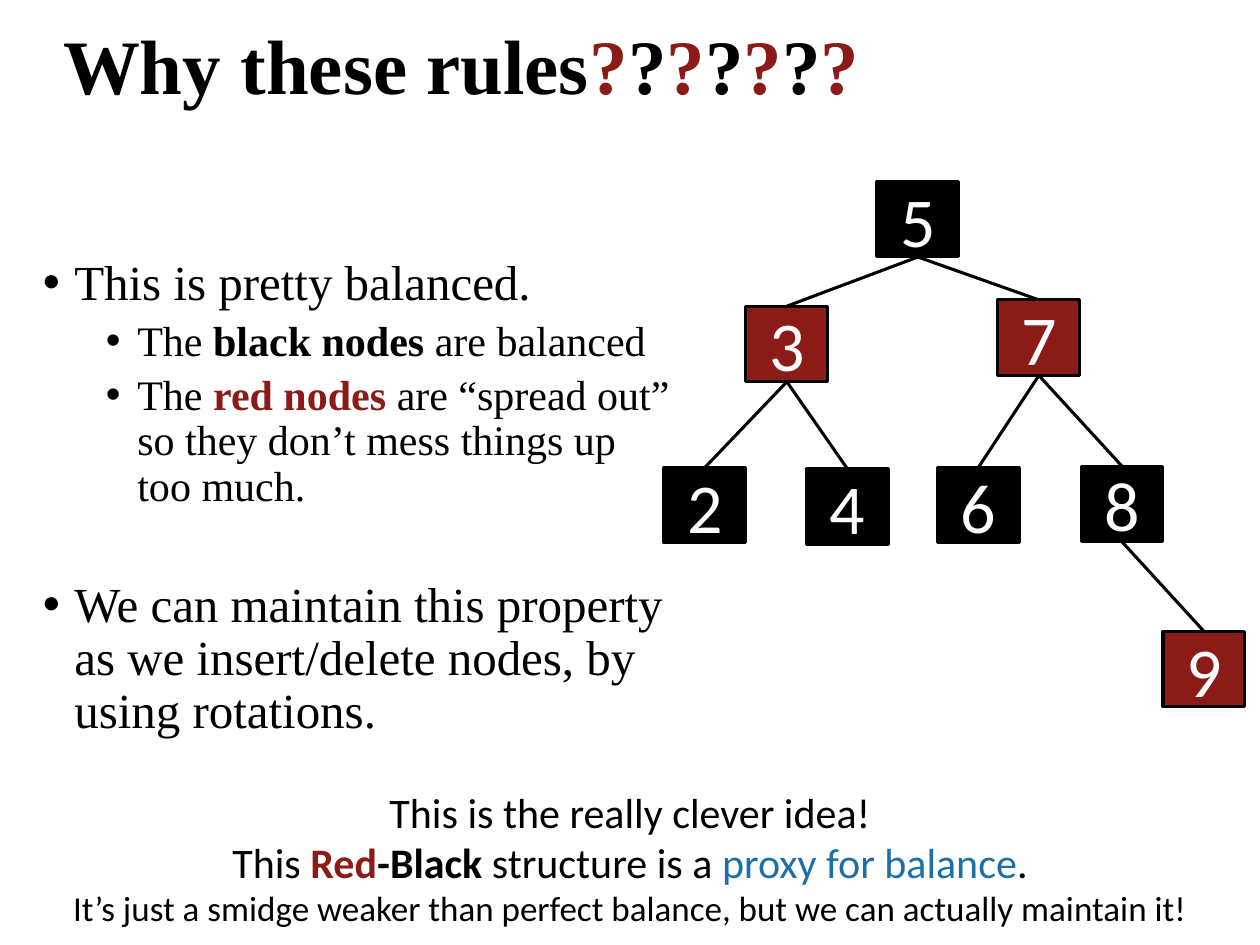
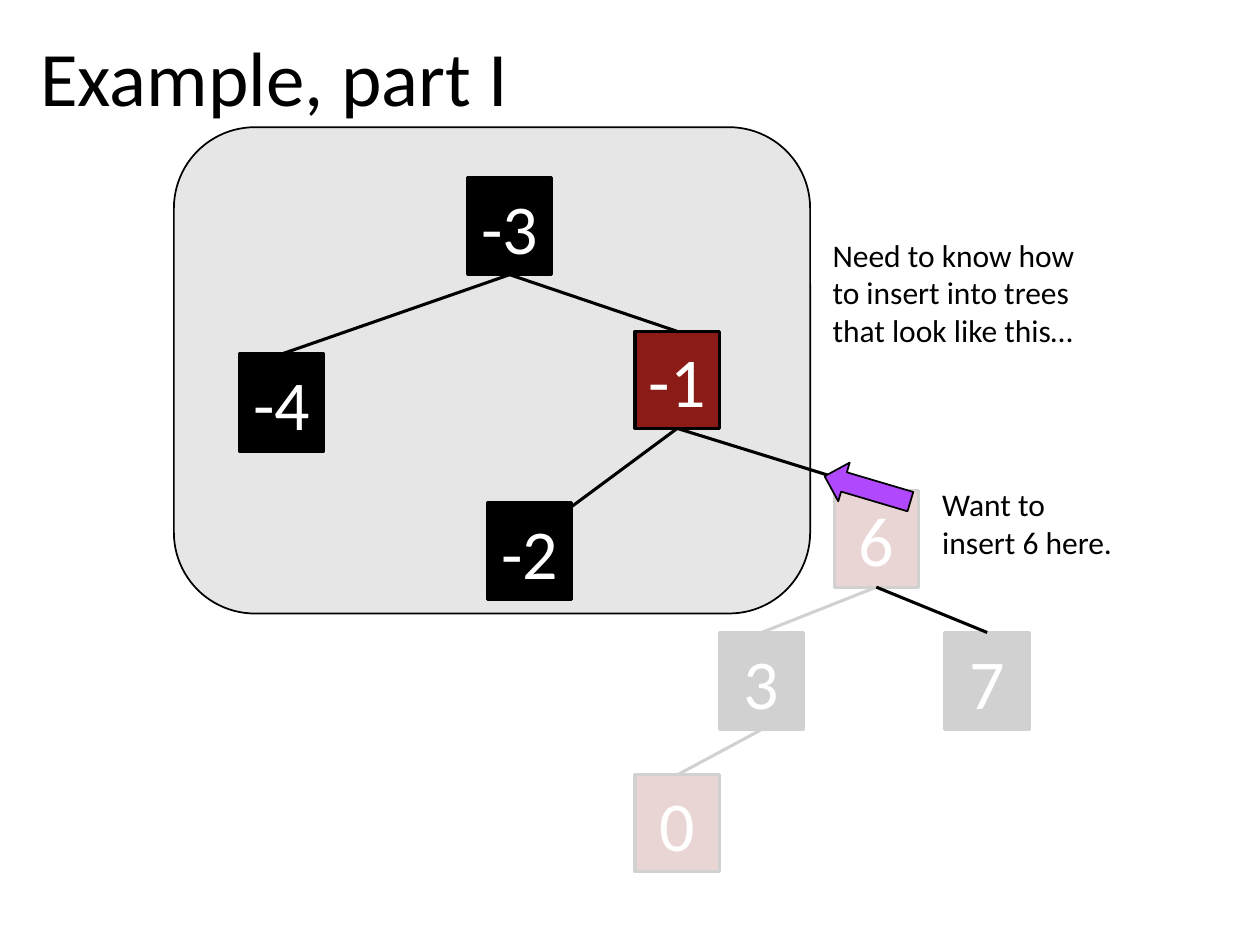
from lxml import etree
from pptx import Presentation
from pptx.dml.color import RGBColor
from pptx.enum.shapes import MSO_CONNECTOR, MSO_SHAPE
from pptx.enum.text import MSO_ANCHOR, MSO_AUTO_SIZE, PP_ALIGN
from pptx.oxml.ns import qn
from pptx.util import Inches, Pt

STRAIGHT = MSO_CONNECTOR.STRAIGHT
RECTANGLE = MSO_SHAPE.RECTANGLE
ROUNDED_RECTANGLE = MSO_SHAPE.ROUNDED_RECTANGLE
RIGHT_ARROW = MSO_SHAPE.RIGHT_ARROW
MIDDLE, TOP = MSO_ANCHOR.MIDDLE, MSO_ANCHOR.TOP
NO_FIT = MSO_AUTO_SIZE.NONE
LEFT, CENTER = PP_ALIGN.LEFT, PP_ALIGN.CENTER

COLORS = {
    name: RGBColor.from_string(value)
    for name, value in {
        "black": "000000",
        "white": "FFFFFF",
        "red": "8B1B17",
        "blue": "1D6FA9",
        "panel": "E7E6E6",
        "purple": "B049FD",
    }.items()
}
SERIF = "Times New Roman"
SANS = "Calibri"


def write_text(paragraph, text, size=18, font=SANS, color="black", bold=False):
    run = paragraph.add_run()
    run.text = text
    run.font.size = Pt(size)
    run.font.name = font
    run.font.color.rgb = COLORS[color]
    run.font.bold = bold


def draw_tree(slide, nodes, labels, edges, size, ends):
    width, height = size
    for parent, child in edges:
        left, top, color = nodes[parent]
        child_left, child_top, child_color = nodes[child]
        end = ends.get(child, (child_left + width / 2, child_top))
        points = (left + width / 2, top + height, *end)
        edge = slide.shapes.add_connector(STRAIGHT, *map(Inches, points))
        edge.line.color.rgb = COLORS["black"]
        edge.line.width = Pt(1.75)
        etree.SubElement(edge._element.spPr, qn("a:effectLst"))
    for label in labels:
        left, top, color = nodes[label]
        node = slide.shapes.add_shape(RECTANGLE, *map(Inches, (left, top, width, height)))
        node.shadow.inherit = False
        node.fill.solid()
        node.fill.fore_color.rgb = COLORS[color]
        node.line.color.rgb = COLORS["black"]
        node.line.width = Pt(1.75)
        node.text_frame.vertical_anchor = MIDDLE
        paragraph = node.text_frame.paragraphs[0]
        paragraph.alignment = CENTER
        write_text(paragraph, label, size=40, color="white")


presentation = Presentation()
presentation.slide_width = Inches(10)
presentation.slide_height = Inches(7.5)

rules_slide = presentation.slides.add_slide(presentation.slide_layouts[1])
example_slide = presentation.slides.add_slide(presentation.slide_layouts[5])

rules_title = [("Why these rules", "black")]
rules_title += [("?", "black" if index % 2 else "red") for index in range(7)]
titles = [
    (rules_slide, (0.4, 0.06, 8.62, 0.99), SERIF, True, rules_title),
    (example_slide, (0.22, -0.08, 8.62, 1.45), SANS, False, [("Example, part I", "black")]),
]
for slide, box, font, bold, runs in titles:
    title = slide.shapes.title
    title.left, title.top, title.width, title.height = map(Inches, box)
    title.text_frame.auto_size = NO_FIT
    title.text_frame.vertical_anchor = MIDDLE
    paragraph = title.text_frame.paragraphs[0]
    paragraph.alignment = LEFT
    paragraph.line_spacing = 0.9
    for text, color in runs:
        write_text(paragraph, text, size=44, font=font, color=color, bold=bold)

body = rules_slide.placeholders[1]
body.left, body.top, body.width, body.height = map(Inches, (0.24, 2, 5.24, 4.76))
body.text_frame.auto_size = NO_FIT
body.text_frame.vertical_anchor = TOP
bullets = [
    (0, 0, [("This is pretty balanced.", "black", False)]),
    (1, 5, [("The ", "black", False), ("black nodes", "black", True),
            (" are balanced", "black", False)]),
    (1, 5, [("The ", "black", False), ("red nodes ", "red", True),
            ("are “spread out” so they don’t mess things up too much.", "black", False)]),
    (0, 40, [("We can maintain this property as we insert/delete nodes, by using rotations.",
              "black", False)]),
]
for index, (level, space_before, runs) in enumerate(bullets):
    paragraph = body.text_frame.add_paragraph() if index else body.text_frame.paragraphs[0]
    paragraph.level = level
    paragraph.line_spacing = 0.9
    paragraph.space_before = Pt(space_before)
    properties = paragraph._p.get_or_add_pPr()
    properties.set("marL", str(Inches(0.25 + 0.5 * level)))
    properties.set("indent", str(Inches(-0.25)))
    etree.SubElement(properties, qn("a:buFont"), typeface="Arial")
    etree.SubElement(properties, qn("a:buChar"), char="•")
    for text, color, bold in runs:
        write_text(paragraph, text, size=24 if level else 28, font=SERIF, color=color, bold=bold)

balanced_nodes = {
    "5": (6.96, 1.44, "black"),
    "3": (5.92, 2.43, "red"),
    "7": (7.92, 2.38, "red"),
    "2": (5.27, 3.71, "black"),
    "4": (6.4, 3.72, "black"),
    "6": (7.44, 3.71, "black"),
    "8": (8.58, 3.7, "black"),
    "9": (9.23, 5.01, "red"),
}
balanced_edges = ["53", "57", "32", "34", "76", "78", "89"]
draw_tree(rules_slide, balanced_nodes, balanced_nodes, balanced_edges, (0.65, 0.6), {})

example_nodes = {
    "-3": (3.71, 1.41, "black"),
    "-4": (1.9, 2.81, "black"),
    "-1": (5.04, 2.63, "red"),
    "-2": (3.87, 3.99, "black"),
    "6": (6.62, 3.89, "red"),
    "3": (5.71, 5.02, "black"),
    "7": (7.5, 5.02, "black"),
    "0": (5.04, 6.15, "red"),
}
node_size = (0.67, 0.77)
draw_tree(example_slide, example_nodes, "7360", ["63", "30"], node_size, {})

veil_start = (3.99, 7.34)
veil_curves = [
    ((4.08, 7.03), (4.22, 6.3), (4.54, 5.75)),
    ((4.86, 5.2), (5.56, 4.43), (5.91, 4.05)),
    ((6.26, 3.67), (6.34, 3.55), (6.64, 3.48)),
    ((6.94, 3.41), (7.28, 3.29), (7.73, 3.63)),
    ((8.19, 3.96), (9.1, 5.01), (9.36, 5.49)),
    ((9.63, 5.97), (9.36, 6.13), (9.34, 6.5)),
    ((9.31, 6.88), (10.09, 7.55), (9.2, 7.74)),
    ((8.31, 7.92), (4.89, 7.67), (4.02, 7.61)),
    ((3.15, 7.56), (3.91, 7.65), veil_start),
]
veil_points = []
curve_start = veil_start
for curve in veil_curves:
    for step in range(1, 9):
        t = step / 8
        weights = ((1 - t) ** 3, 3 * t * (1 - t) ** 2, 3 * t ** 2 * (1 - t), t ** 3)
        x, y = (
            sum(weight * value for weight, value in zip(weights, values))
            for values in zip(curve_start, *curve)
        )
        veil_points.append((Inches(x), Inches(min(y, 7.5))))
    curve_start = curve[-1]
builder = example_slide.shapes.build_freeform(*map(Inches, veil_start))
builder.add_line_segments(veil_points, close=True)
veil = builder.convert_to_shape()
veil.shadow.inherit = False
veil.fill.solid()
veil.fill.fore_color.rgb = COLORS["white"]
veil.line.fill.background()
veil_color = veil._element.spPr.find(qn("a:solidFill")).find(qn("a:srgbClr"))
etree.SubElement(veil_color, qn("a:alpha"), val="82000")

decorations = [
    (ROUNDED_RECTANGLE, (1.38, 1.01, 5.05, 3.86), "panel", 0),
    (RIGHT_ARROW, (6.53, 3.72, 0.71, 0.32), "purple", 196.5),
]
for kind, box, color, rotation in decorations:
    shape = example_slide.shapes.add_shape(kind, *map(Inches, box))
    shape.shadow.inherit = False
    shape.rotation = rotation
    shape.fill.solid()
    shape.fill.fore_color.rgb = COLORS[color]
    shape.line.color.rgb = COLORS["black"]
    shape.line.width = Pt(1)
    if kind == ROUNDED_RECTANGLE:
        draw_tree(
            example_slide,
            example_nodes,
            ["-3", "-4", "-1", "-2"],
            [("6", "7"), ("-1", "6"), ("-1", "-2"), ("-3", "-1"), ("-3", "-4")],
            node_size,
            {"-2": (3.89, 4.5)},
        )

clever_idea = [
    (24, [("This is the really clever idea!", "black", False)]),
    (24, [("This ", "black", False), ("Red", "red", True), ("-Black ", "black", True),
          ("structure is a ", "black", False), ("proxy for balance", "blue", False),
          (".", "black", False)]),
    (20, [("It’s just a smidge weaker than perfect balance, but we can actually maintain it!",
           "black", False)]),
]
insert_here = [(18, [("Want to insert 6 here.", "black", False)])]
need_to_know = [
    (18, [("Need to know how to insert into trees that look like this…", "black", False)])
]
captions = [
    (rules_slide, (0.24, 6.19, 9.52, 1.25), CENTER, clever_idea),
    (example_slide, (7.38, 3.8, 1.6, 0.71), LEFT, insert_here),
    (example_slide, (6.51, 1.82, 2.36, 1.01), LEFT, need_to_know),
]
for slide, box, alignment, lines in captions:
    frame = slide.shapes.add_textbox(*map(Inches, box)).text_frame
    frame.word_wrap = True
    for index, (size, runs) in enumerate(lines):
        paragraph = frame.add_paragraph() if index else frame.paragraphs[0]
        paragraph.alignment = alignment
        for text, color, bold in runs:
            write_text(paragraph, text, size=size, color=color, bold=bold)

presentation.save("out.pptx")
